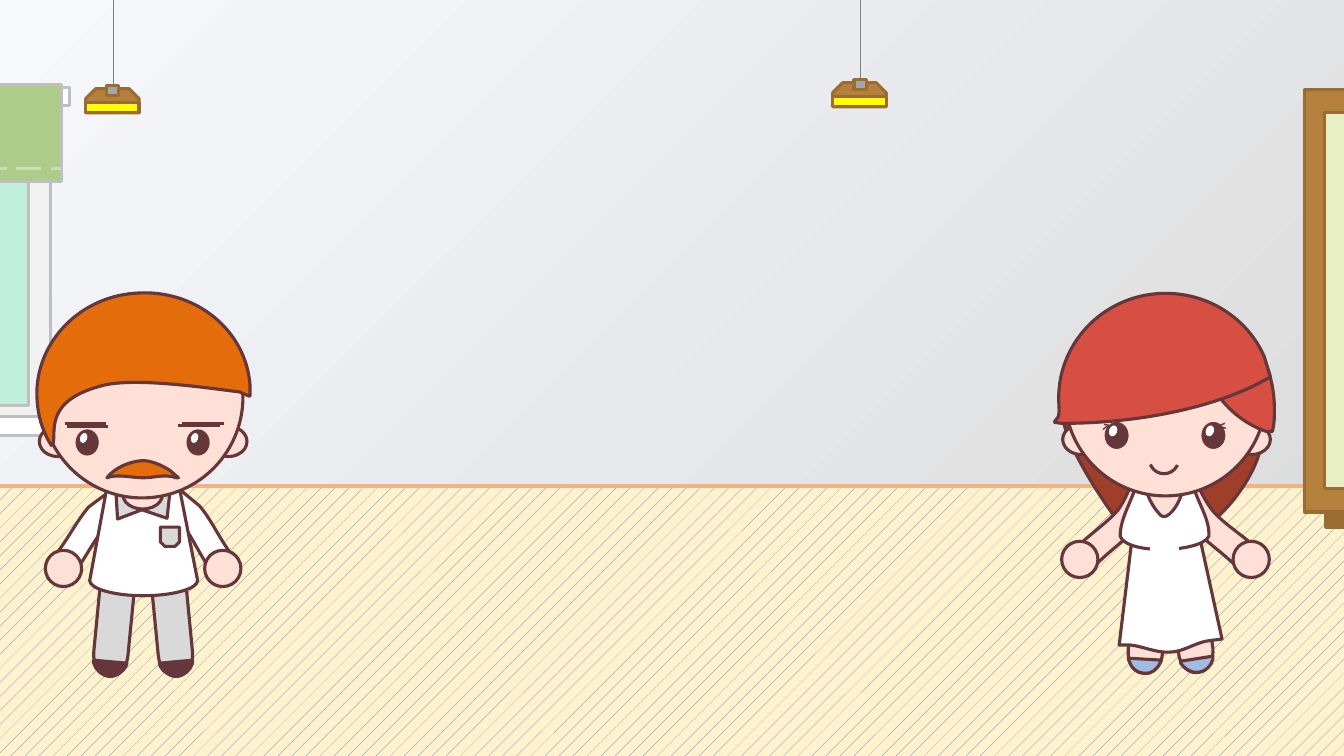
from lxml import etree
from pptx import Presentation
from pptx.dml.color import RGBColor
from pptx.enum.dml import MSO_LINE, MSO_PATTERN
from pptx.enum.shapes import MSO_CONNECTOR, MSO_SHAPE
from pptx.oxml.ns import qn
from pptx.util import Pt

PX = 9144
RECTANGLE = MSO_SHAPE.RECTANGLE
ELLIPSE = MSO_SHAPE.OVAL
TRIANGLE = MSO_SHAPE.ISOSCELES_TRIANGLE
SNIPPED = MSO_SHAPE.SNIP_2_SAME_RECTANGLE
ARC = MSO_SHAPE.ARC
STRAIGHT = MSO_CONNECTOR.STRAIGHT
LONG_DASH = MSO_LINE.LONG_DASH
DOTTED = MSO_PATTERN.PERCENT_5
BOTTOM = 2

INK, SKIN, WHITE = "65363A", "FFE0D6", "FFFFFF"
GREY, ORANGE, RED, AUBURN, BLUE = "D9D9D9", "E46C0A", "D74E43", "A03F29", "A2BBE3"
WOOD, DARK_WOOD, TRIM = "B5803C", "996D32", "BFBFBF"


def color(value):
    """Turn a hex string into a colour."""
    return RGBColor.from_string(value)


class Scene:
    """Draws styled elements on one slide, with lengths in px."""

    def __init__(self, slide):
        """Keep the slide that is drawn on."""
        self.slide = slide
        self.shapes = slide.shapes

    def background(self, start, end):
        """Fill the background with a diagonal gradient."""
        fill = self.slide.background.fill
        fill.gradient()
        fill.gradient_angle = 315
        for stop, value in zip(fill.gradient_stops, (start, end)):
            stop.color.rgb = color(value)

    def style(self, shape, fill, line, weight):
        """Set fill and outline, and drop the shadow."""
        shape.shadow.inherit = False
        if fill:
            shape.fill.solid()
            shape.fill.fore_color.rgb = color(fill)
        else:
            shape.fill.background()
        if line:
            shape.line.color.rgb = color(line)
            shape.line.width = Pt(weight)
        else:
            shape.line.fill.background()
        return shape

    def shape(self, kind, box, fill=None, line=INK, weight=2.25, rotation=0, adjustments=()):
        """Add a preset shape in a left, top, width, height box."""
        shape = self.shapes.add_shape(kind, *(PX * length for length in box))
        shape.rotation = rotation
        for index, value in enumerate(adjustments):
            shape.adjustments[index] = value
        return self.style(shape, fill, line, weight)

    def outline(self, fill, start, *steps):
        """Add a closed outline of points and six-number Bezier curves."""
        points = [step[i:i + 2] for step in steps for i in range(0, len(step), 2)]
        builder = self.shapes.build_freeform(*start, scale=PX)
        builder.add_line_segments(points, close=True)
        shape = builder.convert_to_shape()
        segments = iter(shape._element.findall(".//" + qn("a:lnTo")))
        for step in steps:
            segment = next(segments)
            if len(step) == 6:
                curve = etree.Element(qn("a:cubicBezTo"))
                segment.addprevious(curve)
                for part in (segment, next(segments), next(segments)):
                    curve.append(part[0])
                    part.getparent().remove(part)
        return self.style(shape, fill, INK, 2.25)

    def line(self, x1, y1, x2, y2, line=INK, weight=2.25):
        """Add a straight line."""
        connector = self.shapes.add_connector(STRAIGHT, *(PX * n for n in (x1, y1, x2, y2)))
        connector.line.color.rgb = color(line)
        connector.line.width = Pt(weight)
        properties = connector._element.find(qn("p:spPr"))
        etree.SubElement(properties, qn("a:effectLst"))
        return connector

    def head(self, left, top):
        """Add a face with both ears behind it."""
        for offset in (167, -2):
            self.shape(ELLIPSE, (left + offset, top + 129, 37, 30), SKIN)
        self.shape(ELLIPSE, (left, top, 200, 200), SKIN)

    def eye(self, left, top, pupil_line=None, glint_line=None):
        """Add a pupil with its glint."""
        self.shape(ELLIPSE, (left, top, 23, 26), INK, pupil_line, 0.5)
        self.shape(ELLIPSE, (left + 4, top + 3, 8, 11), WHITE, glint_line, 0.5, 19.6)

    def lamp(self, left, top):
        """Add a hanging lamp with its cord joined to the cap."""
        cord = self.line(left + 27, top - 138, left + 27, top + 10, "808080", 0.5)
        self.shape(SNIPPED, (left, top + 3, 53, 24), WOOD, DARK_WOOD, adjustments=(0.416, 0))
        self.shape(RECTANGLE, (left, top + 17, 53, 10), "FFFF00", DARK_WOOD)
        cap = self.shape(RECTANGLE, (left + 21, top, 12, 10), "A6A6A6", DARK_WOOD)
        cord.end_connect(cap, BOTTOM)


def draw_room(scene):
    """Draw the wall, floor, board and window."""
    scene.background("F6F8FC", "D9D9D9")
    floor = scene.shape(RECTANGLE, (-836, 482, 3154, 295), WHITE, "F4B183", 3)
    floor.fill.patterned()
    floor.fill.pattern = DOTTED
    floor.fill.fore_color.rgb = color("4472C4")
    floor.fill.back_color.rgb = color("FFF2CC")
    board = (((1315, 503, 90, 20), DARK_WOOD), ((1294, 89, 239, 419), WOOD),
             ((1314, 112, 100, 373), "E8EFC5"))
    window = (((-333, 87, 402, 18), WHITE), ((-315, 103, 365, 318), "F2F1F1"),
              ((-330, 413, 396, 19), WHITE), ((-125, 127, 153, 275), "BFEEDA"),
              ((-326, 84, 387, 96), "ACCC89"))
    for parts, edge in ((board, DARK_WOOD), (window, TRIM)):
        for box, fill in parts:
            scene.shape(RECTANGLE, box, fill, edge)
    scene.line(-326, 167, 61, 167, "C5E0B4").line.dash_style = LONG_DASH


def draw_woman(scene):
    """Draw the woman in the white dress."""
    scene.outline(AUBURN, (1054, 409), (1056, 371, 1106, 325, 1155, 332), (1175, 334),
                  (1224, 341, 1259, 386, 1252, 436), (1246, 485, 1184, 551, 1135, 545),
                  (1145, 556), (1133, 556, 1052, 446, 1054, 409))
    scene.outline(SKIN, (1191, 561), (1157, 565), (1169, 648),
                  (1170, 660, 1179, 669, 1189, 667), (1198, 666, 1204, 655, 1203, 643))
    scene.outline(BLUE, (1203, 651), (1171, 656), (1171, 658),
                  (1175, 664, 1182, 668, 1189, 667), (1196, 666, 1201, 661, 1203, 654))
    scene.outline(SKIN, (1123, 562), (1157, 564), (1153, 647),
                  (1153, 659, 1144, 669, 1135, 668), (1125, 668, 1118, 658, 1119, 645))
    scene.outline(BLUE, (1119, 653), (1152, 655), (1151, 657),
                  (1148, 664, 1142, 669, 1135, 668), (1128, 668, 1122, 663, 1120, 656))
    scene.outline(SKIN, (1155, 477), (1151, 472, 1151, 463, 1157, 459),
                  (1162, 454, 1171, 455, 1175, 460), (1187, 475, 1191, 492, 1203, 507),
                  (1216, 522, 1238, 534, 1251, 549), (1255, 554, 1255, 563, 1249, 567),
                  (1244, 572, 1235, 571, 1230, 566), (1217, 551, 1196, 538, 1183, 523))
    scene.outline(SKIN, (1155, 474), (1160, 469, 1159, 460, 1153, 456),
                  (1147, 451, 1139, 452, 1134, 458), (1123, 474, 1120, 490, 1109, 506),
                  (1096, 521, 1075, 534, 1062, 549), (1058, 555, 1058, 563, 1064, 567),
                  (1070, 572, 1078, 571, 1083, 565), (1095, 550, 1116, 537, 1129, 521))
    for left in (1223, 1053):
        scene.shape(ELLIPSE, (left, 537, 36, 36), SKIN)
    scene.outline(WHITE, (1128, 491), (1180, 488), (1212, 634), (1197, 636),
                  (1185, 638, 1173, 647, 1160, 647), (1147, 648, 1133, 641, 1121, 640),
                  (1110, 640))
    scene.outline(WHITE, (1126, 484), (1184, 484), (1189, 500, 1200, 516, 1199, 532),
                  (1192, 548, 1118, 551, 1111, 532), (1111, 515, 1121, 500, 1126, 484))
    scene.shape(RECTANGLE, (1141, 528, 28, 59), WHITE, WHITE, 1)
    scene.outline(SKIN, (1137, 479), (1138, 470, 1150, 454, 1159, 456),
                  (1169, 457, 1175, 471, 1173, 486), (1170, 501, 1157, 518, 1151, 511),
                  (1144, 504, 1135, 489, 1137, 479))
    scene.head(1056, 292)
    for left in (1192, 1096):
        scene.eye(left, 419, pupil_line=INK)
    for lash in ((1207, 423, 1215, 420), (1207, 422, 1216, 425),
                 (1094, 426, 1099, 422), (1095, 421, 1100, 422)):
        scene.line(*lash, weight=1)
    scene.outline(RED, (1189, 299), (1195, 301), (1235, 315, 1264, 356, 1264, 406),
                  (1264, 413, 1264, 421, 1262, 428), (1256, 428),
                  (1215, 414, 1186, 372, 1186, 323), (1186, 315, 1187, 308, 1188, 301))
    scene.outline(RED, (1156, 291), (1200, 291, 1238, 317, 1254, 354), (1260, 374), (1249, 380),
                  (1203, 404, 1131, 420, 1053, 420), (1046, 419),
                  (1045, 418, 1051, 413, 1050, 412), (1051, 406, 1050, 402, 1050, 395),
                  (1050, 337, 1098, 291, 1156, 291))
    scene.shape(ARC, (1140, 441, 29, 29), adjustments=(14.316, 95.023))


def draw_man(scene):
    """Draw the man with the moustache."""
    scene.outline(WHITE, (131, 471), (136, 465, 144, 465, 150, 470), (155, 475, 155, 483, 150, 489),
                  (136, 502, 120, 507, 106, 521), (93, 535, 83, 558, 70, 573),
                  (65, 578, 57, 578, 52, 573), (46, 568, 46, 560, 51, 555),
                  (65, 540, 75, 518, 88, 503))
    scene.outline(WHITE, (157, 468), (152, 462, 144, 462, 138, 466), (133, 471, 132, 480, 137, 485),
                  (150, 499, 166, 505, 180, 519), (192, 534, 201, 557, 214, 572),
                  (218, 578, 227, 578, 232, 573), (238, 569, 238, 560, 234, 555),
                  (220, 540, 211, 517, 198, 502))
    for left in (45, 203):
        scene.shape(ELLIPSE, (left, 546, 36, 36), SKIN)
    leg = ((183, 564), (149, 568), (157, 650), (158, 662, 166, 672, 176, 671),
           (185, 670, 192, 659, 191, 647))
    shoe = ((191, 655), (158, 658), (159, 661), (162, 667, 169, 671, 176, 671),
            (183, 670, 189, 665, 191, 658))
    for mirrored in (False, True):
        for fill, steps in ((GREY, leg), (INK, shoe)):
            if mirrored:
                steps = [tuple(n if i % 2 else 284 - n for i, n in enumerate(step))
                         for step in steps]
            scene.outline(fill, *steps)
    scene.outline(WHITE, (106, 484), (178, 484), (196, 576), (196, 584, 172, 591, 142, 591),
                  (113, 591, 89, 584, 89, 576))
    scene.shape(TRIANGLE, (103, 491, 36, 24), GREY, rotation=219.2, adjustments=(0.386,))
    scene.shape(TRIANGLE, (144, 492, 36, 22), GREY, rotation=140.8, adjustments=(0.618,))
    scene.shape(ELLIPSE, (122, 477, 39, 28), SKIN)
    scene.head(41, 294)
    for left in (75, 185):
        scene.eye(left, 426, glint_line=INK)
    for left, top in ((177, 422), (66, 423), (181, 420), (64, 420)):
        scene.line(left, top, left + 41, top)
    scene.outline(ORANGE, (142, 474), (154, 474, 163, 470, 175, 474), (177, 474), (169, 467),
                  (160, 461, 150, 457, 141, 457), (128, 458, 114, 464, 106, 474),
                  (116, 470, 131, 474, 142, 474))
    scene.shape(SNIPPED, (159, 523, 19, 19), GREY, adjustments=(0, 0.234))
    scene.outline(ORANGE, (134, 291), (193, 286, 244, 327, 248, 382), (248, 393), (247, 393),
                  (243, 391, 239, 390, 238, 389), (199, 384, 136, 375, 104, 382),
                  (46, 396, 55, 425, 53, 439), (51, 442), (48, 437),
                  (42, 426, 38, 413, 37, 399), (32, 344, 76, 295, 134, 291))


def main():
    """Build and save the slide."""
    presentation = Presentation()
    presentation.slide_width, presentation.slide_height = 1333 * PX, 750 * PX
    scene = Scene(presentation.slides.add_slide(presentation.slide_layouts[6]))
    draw_room(scene)
    draw_woman(scene)
    draw_man(scene)
    scene.lamp(826, 79)
    scene.lamp(85, 85)
    presentation.save("out.pptx")


if __name__ == "__main__":
    main()
